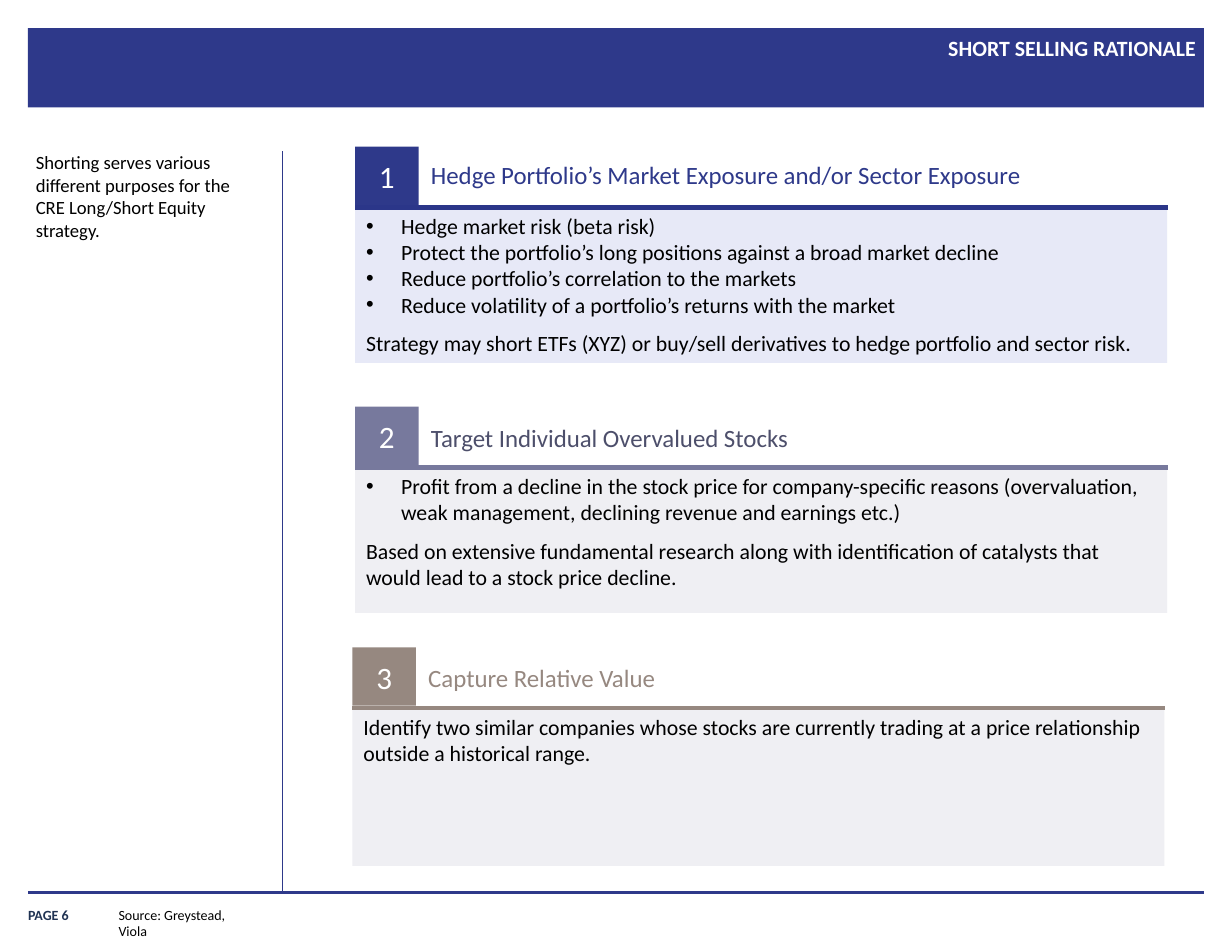
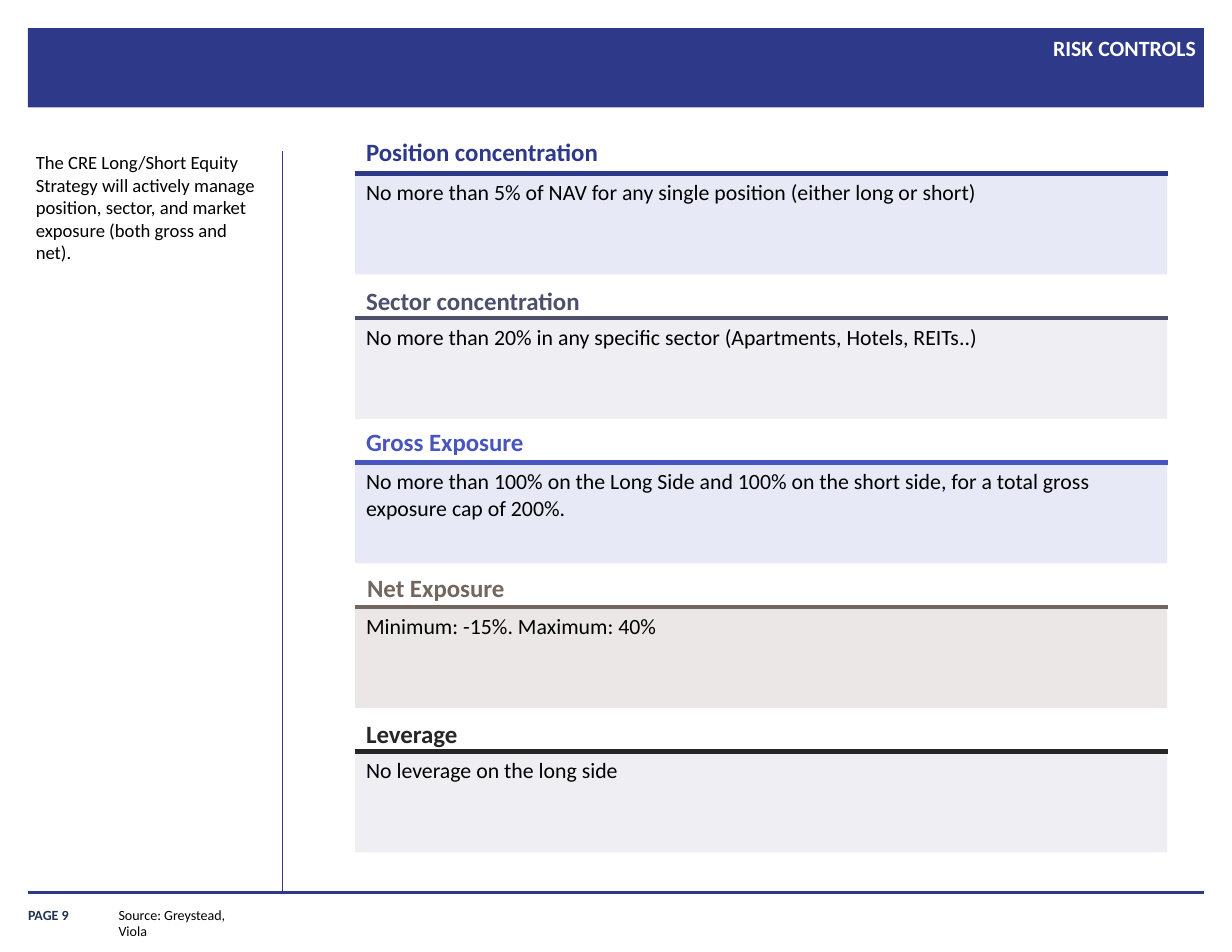
from lxml import etree
from pptx import Presentation
from pptx.dml.color import RGBColor
from pptx.enum import shapes, text
from pptx.oxml import ns
from pptx.util import Pt

COLORS = {
    "navy": "2E398A", "rule_navy": "2B3689", "page": "203353",
    "slate": "77799D", "dark_slate": "4D4F6B", "violet": "4855BE",
    "taupe": "968880", "dark_taupe": "72665E", "charcoal": "262626",
    "pale_blue": "E7E9F7", "pale_gray": "EFEFF3", "pale_taupe": "EAE7E6",
    "black": "000000", "white": "FFFFFF",
}
FONT = "Calibri"
PANEL_LEFT = 228.25
PANEL_WIDTH = 522
BADGE_WIDTH = 41
BADGE_HEIGHT = 37.5
HEADING_HEIGHT = 26.6
BULLET_INDENT = 22.5
SOURCE = "Source: Greystead, Viola"


def rgb(name):
    return RGBColor.from_string(COLORS[name])


def lengths(box):
    return [Pt(value) for value in box]


def style(paragraph, size, color, bold=False, align=None):
    paragraph.alignment = align
    font = paragraph.font
    font.name, font.size, font.bold = FONT, Pt(size), bold
    font.color.rgb = rgb(color)


def clear_insets(frame):
    frame.margin_left = frame.margin_right = frame.margin_top = frame.margin_bottom = 0


def add_bullet(paragraph):
    properties = paragraph._p.get_or_add_pPr()
    properties.set("marL", str(Pt(BULLET_INDENT)))
    properties.set("indent", str(-Pt(BULLET_INDENT)))
    bullet_font = etree.SubElement(properties, ns.qn("a:buFont"))
    bullet_font.set("typeface", "Arial")
    bullet = etree.SubElement(properties, ns.qn("a:buChar"))
    bullet.set("char", "•")


def add_rectangle(slide, box, color):
    shape = slide.shapes.add_shape(shapes.MSO_SHAPE.RECTANGLE, *lengths(box))
    shape.shadow.inherit = False
    shape.fill.solid()
    shape.fill.fore_color.rgb = rgb(color)
    shape.line.fill.background()
    return shape


def add_line(slide, ends, color, width):
    line = slide.shapes.add_connector(shapes.MSO_CONNECTOR.STRAIGHT, *lengths(ends))
    line.line.color.rgb = rgb(color)
    line.line.width = Pt(width)
    etree.SubElement(line._element.spPr, ns.qn("a:effectLst"))


def add_label(slide, box, words, size, color="black", bold=False, wrap=True):
    frame = slide.shapes.add_textbox(*lengths(box)).text_frame
    frame.word_wrap = wrap
    frame.text = words
    style(frame.paragraphs[0], size, color, bold)
    return frame


def add_body(slide, box, bullets, closing):
    frame = slide.shapes.add_textbox(*lengths(box)).text_frame
    frame.word_wrap = True
    for index, words in enumerate(bullets + [closing]):
        paragraph = frame.add_paragraph() if index else frame.paragraphs[0]
        paragraph.text = words
        if index < len(bullets):
            add_bullet(paragraph)
        elif index:
            paragraph.space_before = Pt(8)
        style(paragraph, 14, "black")


def add_panel(slide, box, fill, rule, bullets, closing):
    left, top, width, height = box
    add_rectangle(slide, box, fill)
    add_line(slide, (left, top, left + width + 0.75, top), rule, 3)
    add_body(slide, box, bullets, closing)


def add_numbered_section(slide, box, number, heading, accent, rule, heading_color,
                         heading_offset, fill, bullets, closing):
    left, top, width, height = box
    badge = add_rectangle(slide, (left, top, BADGE_WIDTH, BADGE_HEIGHT), accent)
    badge.text_frame.text = str(number)
    badge.text_frame.vertical_anchor = text.MSO_ANCHOR.MIDDLE
    style(badge.text_frame.paragraphs[0], 20, "white", align=text.PP_ALIGN.CENTER)
    add_panel(slide, (left, top + 39, width, height - 39), fill, rule, bullets, closing)
    add_label(slide, (left + 41.75, top + heading_offset, width - 41.75, HEADING_HEIGHT),
              heading, 16, heading_color)


def add_control(slide, box, heading, lift, shift, color, fill, limit):
    left, top, width, height = box
    add_panel(slide, box, fill, color, [], limit)
    add_label(slide, (left + shift, top - lift, width, HEADING_HEIGHT), heading, 16, color, True)


def add_frame(presentation, title, page, summary):
    slide = presentation.slides.add_slide(presentation.slide_layouts[5])
    heading = slide.shapes.title
    heading.left, heading.top, heading.width, heading.height = lengths((228.25, 20.9, 540.7, 48.2))
    frame = heading.text_frame
    frame.text = title
    frame.word_wrap = True
    frame.auto_size = text.MSO_AUTO_SIZE.NONE
    frame.vertical_anchor = text.MSO_ANCHOR.TOP
    clear_insets(frame)
    paragraph = frame.paragraphs[0]
    paragraph.line_spacing = 1.1
    style(paragraph, 14, "white", True, text.PP_ALIGN.RIGHT)

    band = add_rectangle(slide, (18, 18, 756, 51.1), "navy")
    heading.element.addprevious(band.element)
    page_frame = add_label(slide, (18, 576.7, 65.5, 16.6), f"PAGE {page}", 9, "page", True)
    clear_insets(page_frame)
    page_frame.vertical_anchor = text.MSO_ANCHOR.BOTTOM
    add_line(slide, (18, 573.8, 774, 573.8), "navy", 2.25)
    add_line(slide, (181.4, 97.2, 181.4, 574.6), "navy", 0.5)
    clear_insets(add_label(slide, (23, 97.2, 144.7, 466.6), summary, 12))
    add_label(slide, (69.1, 578.9, 102.2, 18), SOURCE, 9, wrap=False)
    return slide


def build_rationale(presentation):
    slide = add_frame(
        presentation, "SHORT SELLING RATIONALE", 6,
        "Shorting serves various different purposes for the CRE Long/Short Equity strategy.")
    sections = [
        (PANEL_LEFT, 94.3, 139, "Hedge Portfolio’s Market Exposure and/or Sector Exposure",
         "navy", "rule_navy", "navy", 5, "pale_blue",
         ["Hedge market risk (beta risk)",
          "Protect the portfolio’s long positions against a broad market decline",
          "Reduce portfolio’s correlation to the markets",
          "Reduce volatility of a portfolio’s returns with the market"],
         "Strategy may short ETFs (XYZ) or buy/sell derivatives to hedge portfolio and sector risk."),
        (PANEL_LEFT, 261.4, 132.6, "Target Individual Overvalued Stocks",
         "slate", "slate", "dark_slate", 6.5, "pale_gray",
         ["Profit from a decline in the stock price for company-specific reasons "
          "(overvaluation, weak management, declining revenue and earnings etc.)"],
         "Based on extensive fundamental research along with identification of catalysts "
         "that would lead to a stock price decline."),
        (PANEL_LEFT - 1.75, 416.2, 140.5, "Capture Relative Value",
         "taupe", "taupe", "taupe", 6.5, "pale_gray", [],
         "Identify two similar companies whose stocks are currently trading at a price "
         "relationship outside a historical range."),
    ]
    for number, (left, top, height, *details) in enumerate(sections, 1):
        add_numbered_section(slide, (left, top, PANEL_WIDTH, height), number, *details)


def build_controls(presentation):
    slide = add_frame(
        presentation, "RISK CONTROLS", 9,
        "The CRE Long/Short Equity Strategy will actively manage position, sector, "
        "and market exposure (both gross and net).")
    controls = [
        ("Position concentration", 27.4, 0, "navy", "pale_blue",
         "No more than 5% of NAV for any single position (either long or short)"),
        ("Sector concentration", 24.6, 0, "dark_slate", "pale_gray",
         "No more than 20% in any specific sector (Apartments, Hotels, REITs..)"),
        ("Gross Exposure", 26.6, 0, "violet", "pale_blue",
         "No more than 100% on the Long Side and 100% on the short side, "
         "for a total gross exposure cap of 200%."),
        ("Net Exposure", 25.9, 0.7, "dark_taupe", "pale_taupe",
         "Minimum: -15%. Maximum: 40%"),
        ("Leverage", 24.5, 0, "charcoal", "pale_gray", "No leverage on the long side"),
    ]
    for index, details in enumerate(controls):
        add_control(slide, (PANEL_LEFT, 111.6 + 92.9 * index, PANEL_WIDTH, 64.8), *details)


def main():
    presentation = Presentation()
    presentation.slide_width, presentation.slide_height = Pt(792), Pt(612)
    build_rationale(presentation)
    build_controls(presentation)
    presentation.save("out.pptx")


if __name__ == "__main__":
    main()
